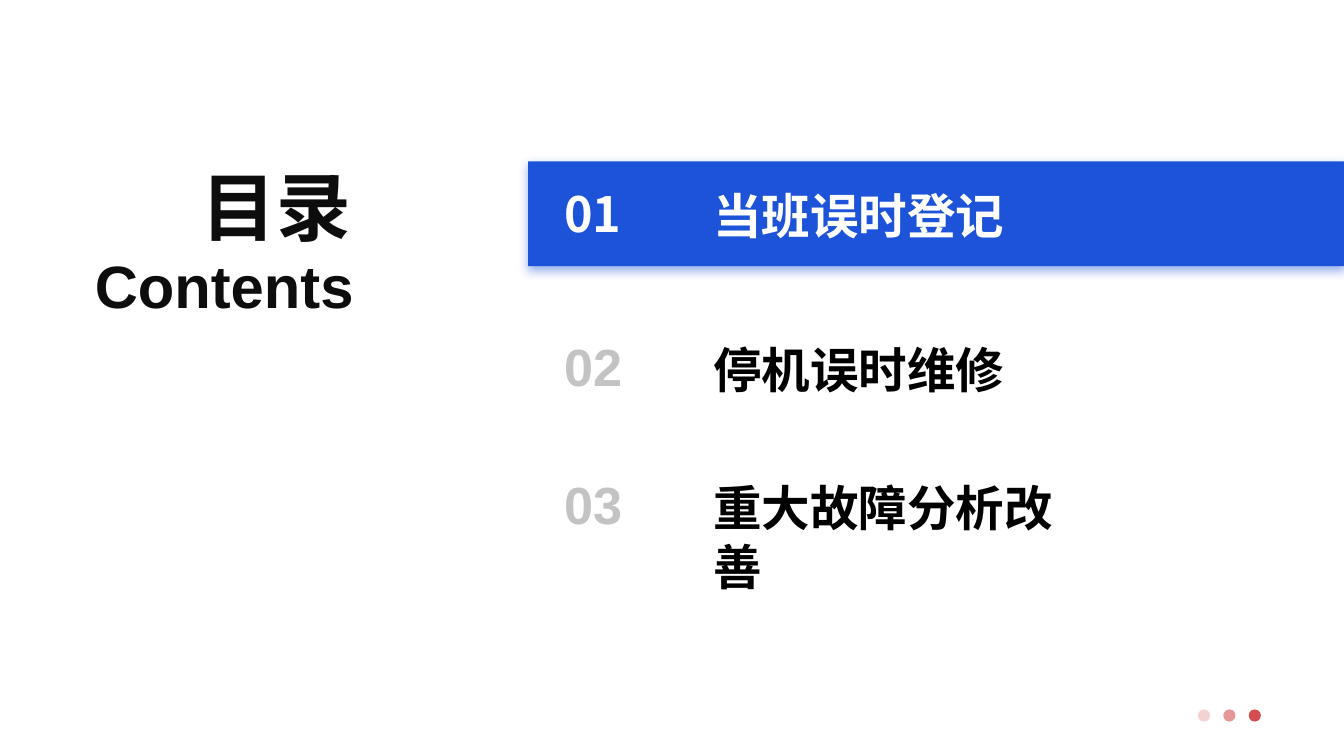
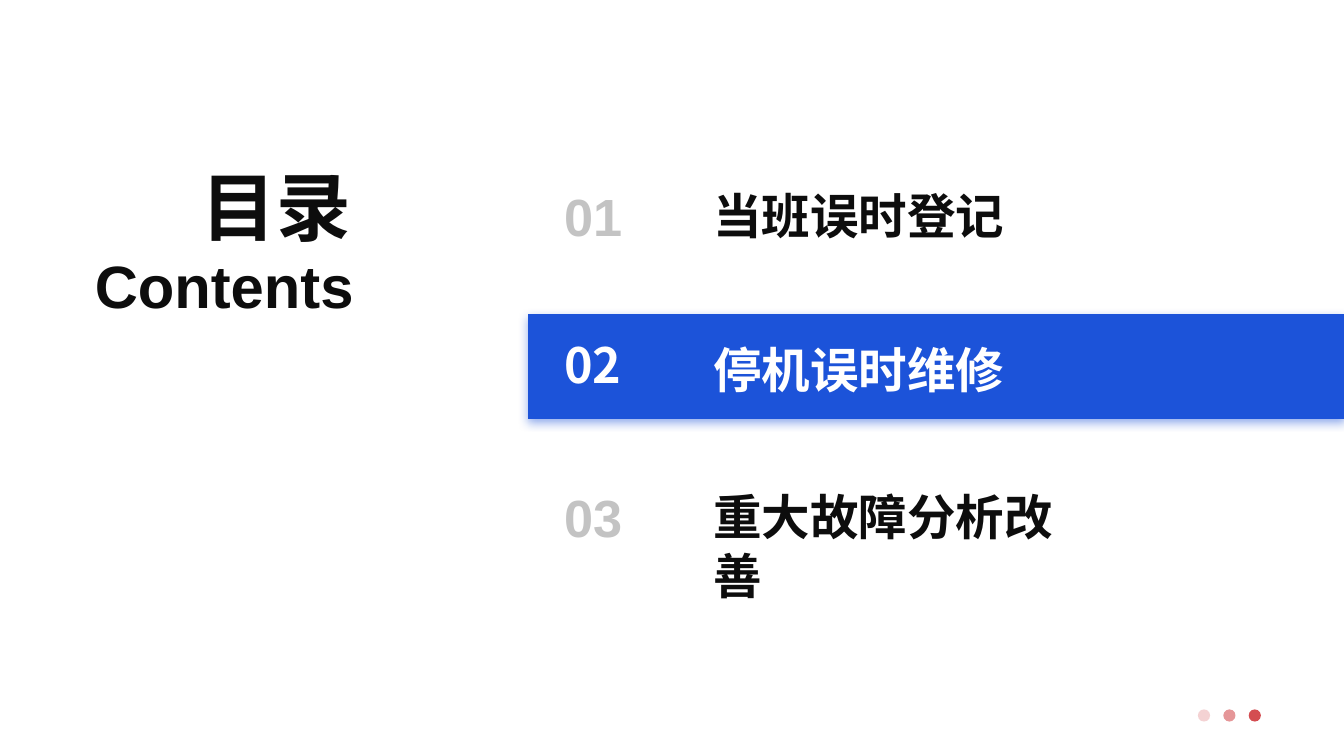
from dataclasses import dataclass

from pptx import Presentation
from pptx.dml.color import RGBColor
from pptx.enum.shapes import MSO_SHAPE
from pptx.enum.text import MSO_AUTO_SIZE, PP_ALIGN
from pptx.oxml import parse_xml
from pptx.oxml.ns import nsdecls, qn
from pptx.oxml.xmlchemy import OxmlElement
from pptx.util import Cm, Pt


@dataclass(frozen=True)
class Theme:
    blue: str = "1C53D9"
    red: str = "D44D51"
    grey: str = "C3C3C3"
    ink: str = "0D0D0D"
    black: str = "000000"
    white: str = "FFFFFF"
    latin: str = "Arial"
    cjk: str = "Noto Sans CJK SC"
    heading: int = 40
    subheading: int = 32
    number: int = 28
    entry: int = 26


T = Theme()

# Agenda layout in centimetres
SLIDE_W, SLIDE_H = 25.4, 14.29
BAR_LEFT, BAR_H = 9.98, 1.98
NUMBER_LEFT, ENTRY_LEFT = 10.41, 13.23
ENTRIES = ["当班误时登记", "停机误时维修", "重大故障分析改善"]
ENTRY_WIDTHS = [6.02, 6.02, 7.75]
BAR_TOPS = [3.05, 5.94]


def add_text(s, text, left, top, width, height, size, font, color,
             align=PP_ALIGN.LEFT, wrap=False):
    tf = s.shapes.add_textbox(Cm(left), Cm(top), Cm(width), Cm(height)).text_frame
    tf.word_wrap = wrap
    tf.auto_size = MSO_AUTO_SIZE.SHAPE_TO_FIT_TEXT
    p = tf.paragraphs[0]
    p.text = text
    p.alignment = align
    p.font.name = font
    p.font.size = Pt(size)
    p.font.bold = True
    p.font.color.rgb = RGBColor.from_string(color)
    ea = OxmlElement("a:ea")
    ea.set("typeface", font)
    p._p.pPr.find(qn("a:defRPr")).append(ea)


def add_filled(shapes, kind, left, top, width, height, color, alpha=100):
    sp = shapes.add_shape(kind, Cm(left), Cm(top), Cm(width), Cm(height))
    sp.shadow.inherit = False
    sp.line.fill.background()
    sp.fill.solid()
    sp.fill.fore_color.rgb = RGBColor.from_string(color)
    if alpha < 100:
        node = OxmlElement("a:alpha")
        node.set("val", str(alpha * 1000))
        sp._element.spPr.find(qn("a:solidFill"))[0].append(node)
    return sp


def add_bar(s, top):
    sp = add_filled(s.shapes, MSO_SHAPE.RECTANGLE, BAR_LEFT, top,
                    SLIDE_W - BAR_LEFT, BAR_H, T.blue)
    effects = sp._element.spPr.find(qn("a:effectLst"))
    effects.append(parse_xml(
        f'<a:outerShdw {nsdecls("a")} blurRad="{Pt(5)}" dist="{Pt(2)}" '
        f'dir="5400000" algn="t" rotWithShape="0"><a:srgbClr val="{T.blue}">'
        f'<a:alpha val="46000"/></a:srgbClr></a:outerShdw>'))


def add_heading(s):
    add_text(s, "目录", 3.53, 2.92, 3.35, 1.96, T.heading, T.cjk, T.ink, PP_ALIGN.RIGHT)
    add_text(s, "Contents", 1.5, 4.57, 5.44, 1.63, T.subheading, T.latin, T.ink,
             PP_ALIGN.RIGHT)


def add_dots(s):
    group = s.shapes.add_group_shape()
    for i, alpha in enumerate([25, 59, 100]):
        add_filled(group.shapes, MSO_SHAPE.OVAL, 22.64 + 0.48 * i, 13.41,
                   0.23, 0.23, T.red, alpha)


def add_entry(s, i, number_top, entry_top, active, color):
    size, font, number_color = ((T.entry, T.cjk, T.white) if active
                                else (T.number, T.latin, T.grey))
    add_text(s, f"{i + 1:02d}", NUMBER_LEFT, number_top, 1.6 if active else 1.75,
             1.45, size, font, number_color, wrap=not active)
    # The longest entry runs onto a second line
    add_text(s, ENTRIES[i], ENTRY_LEFT, entry_top, ENTRY_WIDTHS[i], 1.37, T.entry,
             T.cjk, T.white if active else color, wrap=len(ENTRIES[i]) > 6)


def add_agenda(prs, active, number_tops, entry_tops, color):
    s = prs.slides.add_slide(prs.slide_layouts[6])
    add_bar(s, BAR_TOPS[active])
    add_heading(s)
    for i, (number_top, entry_top) in enumerate(zip(number_tops, entry_tops)):
        add_entry(s, i, number_top, entry_top, i == active, color)
    add_dots(s)


def main():
    prs = Presentation()
    prs.slide_width, prs.slide_height = Cm(SLIDE_W), Cm(SLIDE_H)
    add_agenda(prs, 0, [3.35, 6.2, 8.81], [3.4, 6.3, 8.92], T.black)
    add_agenda(prs, 1, [3.35, 6.2, 9.04], [3.4, 6.3, 9.09], T.ink)
    prs.save("out.pptx")


if __name__ == "__main__":
    main()
